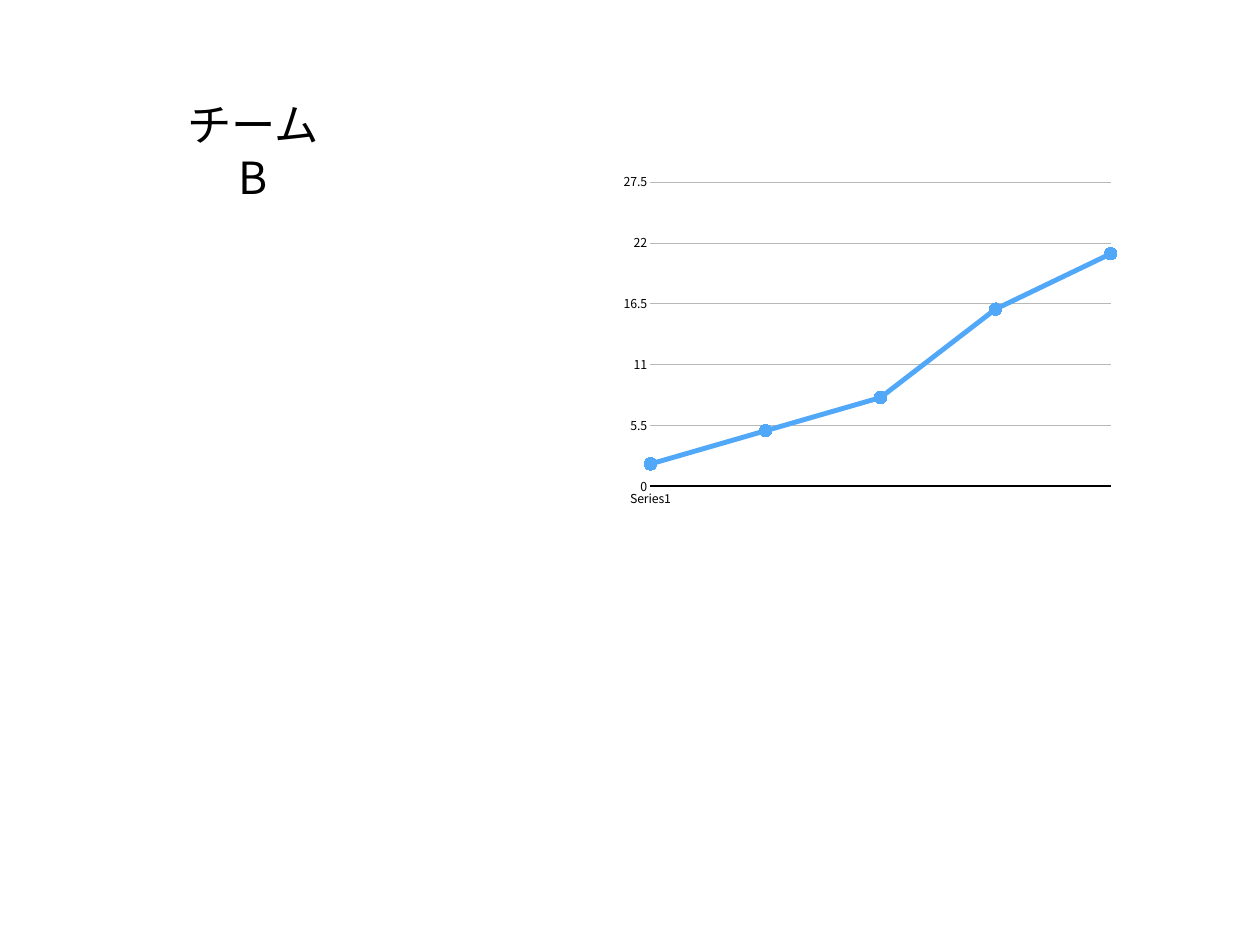
import pptx
import pptx.chart.data
import pptx.dml.color
import pptx.enum.chart
import pptx.enum.text
import pptx.oxml
import pptx.oxml.ns
import pptx.util
from pptx.util import Inches

FACE = "Noto Sans CJK JP"
INK, BLUE, GREY = "000000", "51A8F9", "B8B8B8"


def color(code):
    return pptx.dml.color.RGBColor.from_string(code)


def apply(item, values):
    for name, value in values.items():
        setattr(item, name, value)


class Deck:
    def __init__(self, wide, high):
        self.file = pptx.Presentation()
        apply(self.file, {"slide_width": Inches(wide), "slide_height": Inches(high)})
        self.page = self.file.slides.add_slide(self.file.slide_layouts[5])

    def font(self, font, size):
        apply(font, {"name": FACE, "size": pptx.util.Pt(size), "bold": False})
        font.color.rgb = color(INK)

    def line(self, form, code, width):
        form.line.color.rgb = color(code)
        form.line.width = pptx.util.Pt(width)

    def title(self, text, box, size, pitch):
        shape = self.page.shapes.title
        apply(shape, dict(zip(("left", "top", "width", "height"), map(Inches, box))))
        frame = shape.text_frame
        frame.text = text
        apply(frame, {
            "word_wrap": True,
            "auto_size": pptx.enum.text.MSO_AUTO_SIZE.NONE,
            "vertical_anchor": pptx.enum.text.MSO_ANCHOR.MIDDLE,
        })
        apply(frame, dict.fromkeys(
            ("margin_left", "margin_top", "margin_right", "margin_bottom"), Inches(0.06)))
        para = frame.paragraphs[0]
        apply(para, {"alignment": pptx.enum.text.PP_ALIGN.CENTER,
                     "line_spacing": pptx.util.Pt(pitch)})
        run = para.runs[0]
        self.font(run.font, size)
        # East Asian typeface follows the Latin one
        latin = run.font._element.find(pptx.oxml.ns.qn("a:latin"))
        latin.addnext(pptx.oxml.parse_xml(
            f'<a:ea {pptx.oxml.ns.nsdecls("a")} typeface="{FACE}"/>'))

    def chart(self, cats, name, vals, box, plot):
        data = pptx.chart.data.CategoryChartData()
        data.categories = cats
        data.add_series(name, vals)
        kinds = pptx.enum.chart
        chart = self.page.shapes.add_chart(
            kinds.XL_CHART_TYPE.LINE_MARKERS, *map(Inches, box), data).chart
        apply(chart, {"has_legend": False, "has_title": False})
        self.font(chart.font, 10)

        # Axes
        none = kinds.XL_TICK_MARK.NONE
        for axis in (chart.category_axis, chart.value_axis):
            apply(axis, {"major_tick_mark": none, "minor_tick_mark": none})
            self.font(axis.tick_labels.font, 10)
        self.line(chart.category_axis.format, INK, 1)
        scale = chart.value_axis
        apply(scale, {"minimum_scale": 0, "maximum_scale": 27.5,
                      "major_unit": 5.5, "has_major_gridlines": True})
        scale.format.line.fill.background()
        apply(scale.tick_labels, {"number_format": "General",
                                  "number_format_is_linked": False})
        self.line(scale.major_gridlines.format, GREY, 0.25)

        # Series
        trend = chart.plots[0].series[0]
        trend.smooth = False
        self.line(trend.format, BLUE, 4)
        mark = trend.marker
        apply(mark, {"style": kinds.XL_MARKER_STYLE.CIRCLE, "size": 10})
        mark.format.fill.solid()
        mark.format.fill.fore_color.rgb = color(BLUE)
        self.line(mark.format, BLUE, 1)
        self.fit(chart, plot)

    def fit(self, chart, plot):
        """Fix the inner plot area and start the line on the value axis."""
        qn, decl = pptx.oxml.ns.qn, pptx.oxml.ns.nsdecls("c")
        area = chart._chartSpace.find(".//" + qn("c:plotArea"))
        old = area.find(qn("c:layout"))
        if old is not None:
            area.remove(old)
        spots = "".join(f'<c:{key} val="{val}"/>' for key, val in zip("xywh", plot))
        area.insert(0, pptx.oxml.parse_xml(
            f'<c:layout {decl}><c:manualLayout><c:layoutTarget val="inner"/>'
            f'<c:xMode val="edge"/><c:yMode val="edge"/>{spots}'
            '</c:manualLayout></c:layout>'))
        axis = area.find(qn("c:valAx"))
        cross = axis.find(qn("c:crossBetween"))
        if cross is None:
            cross = pptx.oxml.parse_xml(f"<c:crossBetween {decl}/>")
            axis.find(qn("c:crosses")).addnext(cross)
        cross.set("val", "midCat")


def main():
    deck = Deck(14.22, 10.67)
    # Growth chart
    deck.chart(["Series1", "", "", "", ""], "Series 1", [2, 5, 8, 16, 21],
               (6.88, 1.9, 5.77, 3.86), (0.08, 0.04, 0.9, 0.89))
    # Team name
    deck.title("チームB", (2.02, 1.04, 1.68, 1.31), 36, 43)
    deck.file.save("out.pptx")


if __name__ == "__main__":
    main()
